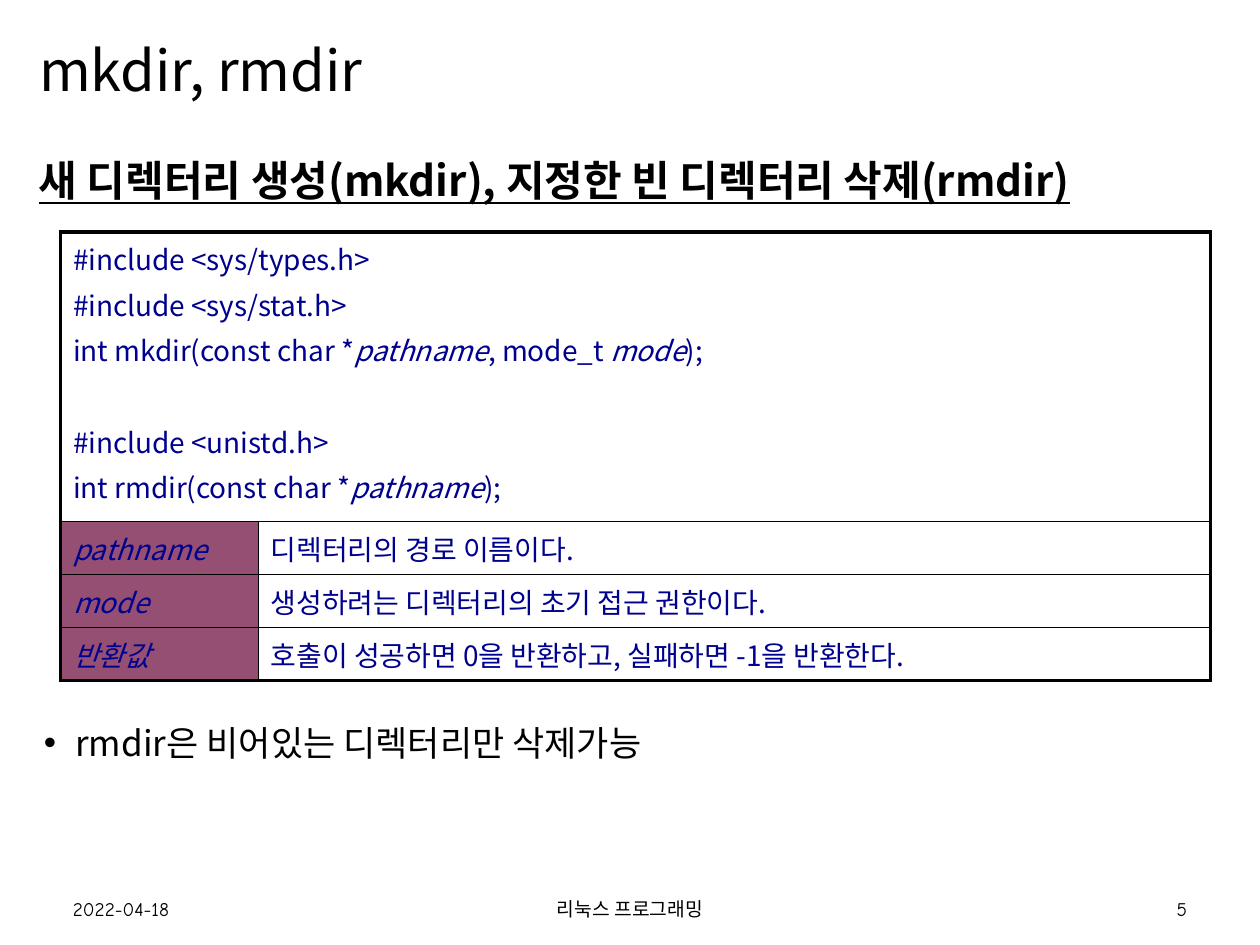
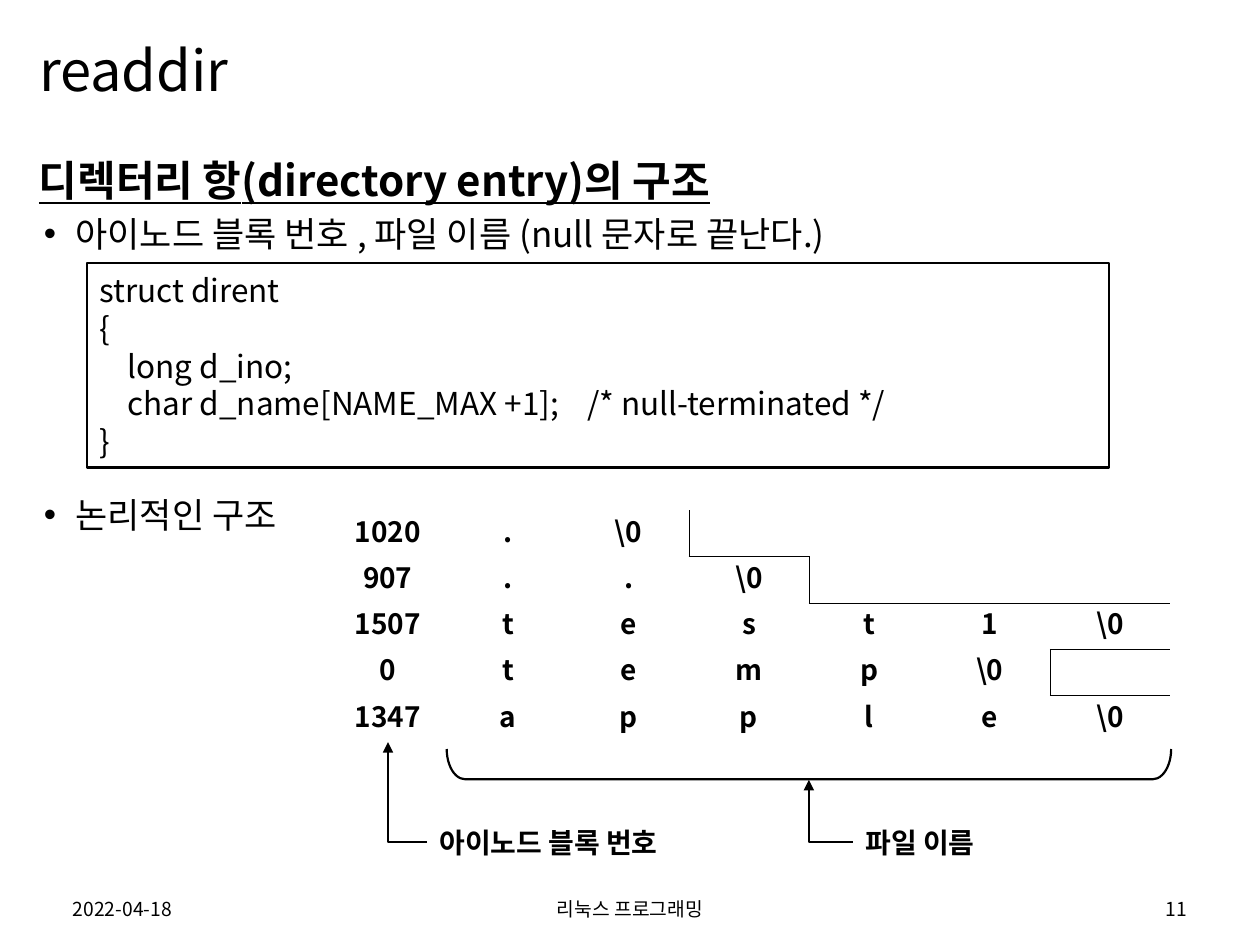
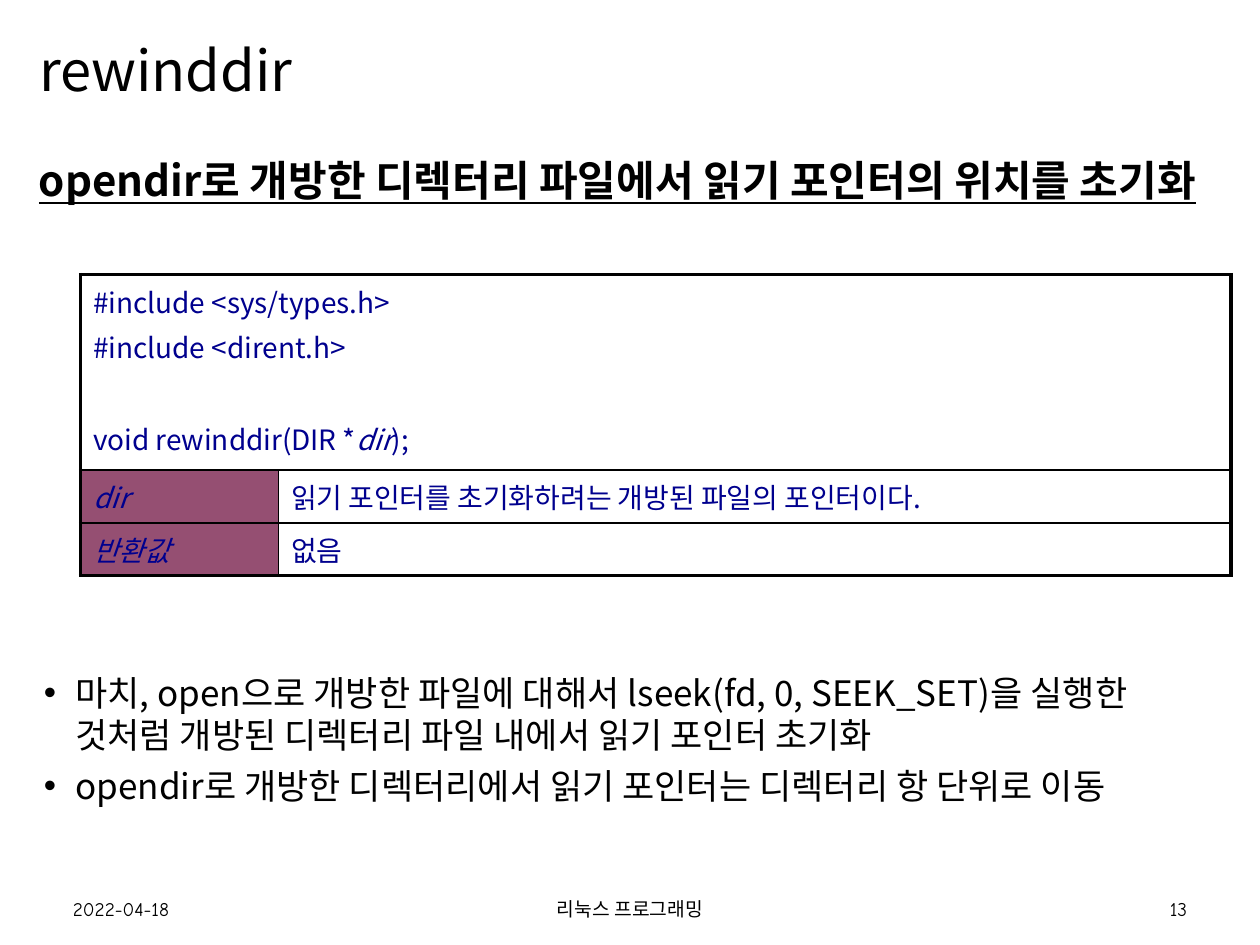
from lxml import etree
from pptx import Presentation
from pptx.dml.color import RGBColor
from pptx.enum.dml import MSO_LINE
from pptx.enum.shapes import MSO_CONNECTOR, MSO_SHAPE
from pptx.enum.text import MSO_ANCHOR, PP_ALIGN
from pptx.oxml.ns import qn
from pptx.util import Inches, Pt

LEFT, CENTER, RIGHT = PP_ALIGN.LEFT, PP_ALIGN.CENTER, PP_ALIGN.RIGHT
TOP, MIDDLE = MSO_ANCHOR.TOP, MSO_ANCHOR.MIDDLE
SOLID = MSO_LINE.SOLID
RECT, BRACKET = MSO_SHAPE.RECTANGLE, MSO_SHAPE.RIGHT_BRACKET
ELBOW = MSO_CONNECTOR.ELBOW

SANS, COMIC = "Noto Sans CJK KR", "Comic Neue"
BLACK, NAVY, PLUM = "000000", "00008E", "954F72"
PITCH = 1.2          # line height as a multiple of the text size
THICK, THIN, HAIR = 2.25, 1, 0.25
BODY = (0.21, 1.18, 9.58)


def rgb(code):
    return RGBColor.from_string(code)


def child(parent, tag, **attrs):
    return etree.SubElement(parent, qn(tag), **attrs)


# ---- Text ----

def add_run(para, text, size, color=BLACK, font=SANS, bold=False,
            italic=False, under=False):
    run = para.add_run()
    run.text = text
    face = run.font
    face.size, face.name, face.color.rgb = Pt(size), font, rgb(color)
    face.bold, face.italic, face.underline = bold, italic, under
    child(face._element, "a:ea", typeface=SANS)


def fill_text(frame, lines, size, align=LEFT, anchor=TOP, gap=0, pitch=PITCH,
              **style):
    """Write one paragraph per line; parts between bars are italic."""
    frame.vertical_anchor = anchor
    for i, line in enumerate(lines):
        para = frame.add_paragraph() if i else frame.paragraphs[0]
        para.alignment = align
        if pitch:
            para.line_spacing = Pt(round(size * pitch, 1))
        if i and gap:
            para.space_before = Pt(gap)
        for j, part in enumerate(line.split("|")):
            if part:
                add_run(para, part, size, italic=j % 2 == 1, **style)


def add_text(slide, box, lines, size, wrap=True, **style):
    shape = slide.shapes.add_textbox(*map(Inches, box))
    shape.text_frame.word_wrap = wrap
    fill_text(shape.text_frame, lines, size, **style)
    return shape


# ---- Parts shared by all slides ----

def add_page(deck, title, number, font=COMIC):
    slide = deck.slides.add_slide(deck.slide_layouts[5])
    head = slide.shapes.title
    head.left, head.top, head.width, head.height = map(
        Inches, (0.21, 0.1, 9.58, 0.97))
    fill_text(head.text_frame, [title], 32, anchor=MIDDLE, pitch=None)
    head.text_frame.paragraphs[0].line_spacing = 0.9
    footers = ((0.48, 2.25, "2022-04-18", LEFT),
               (3.31, 3.38, "리눅스 프로그래밍", CENTER),
               (7.27, 2.25, str(number), RIGHT))
    for left, width, text, align in footers:
        add_text(slide, (left, 7.07, width, 0.28), [text], 11, align=align,
                 anchor=MIDDLE, font=font)
    return slide


def add_lead(slide, text):
    left, top, width = BODY
    add_text(slide, (left, top, width, 0.5), [text], 24, bold=True, under=True)


def add_list(slide, top, items):
    left, _, width = BODY
    shape = add_text(slide, (left, top, width, 0.45 * len(items)), items, 20,
                     gap=5)
    for para in shape.text_frame.paragraphs:
        props = para._p.get_or_add_pPr()
        props.set("marL", str(Inches(0.29)))
        props.set("indent", str(Inches(-0.25)))
        child(props, "a:buFont", typeface="Arial")
        child(props, "a:buChar", char="•")


# ---- Tables ----

def set_edges(cell, *widths):
    """Border widths in points: left, right, top, bottom; 0 is none."""
    props = cell._tc.get_or_add_tcPr()
    for i, (side, width) in enumerate(zip("LRTB", widths)):
        line = etree.Element(qn("a:ln" + side), w=str(Pt(width)))
        if width:
            child(child(line, "a:solidFill"), "a:srgbClr", val=BLACK)
        else:
            child(line, "a:noFill")
        props.insert(i, line)


def make_table(slide, box, cols, rows):
    shape = slide.shapes.add_table(len(rows), len(cols), *map(Inches, box))
    table = shape.table
    table.first_row = table.horz_banding = False
    for col, width in zip(table.columns, cols):
        col.width = Inches(width)
    for row, height in zip(table.rows, rows):
        row.height = Inches(height)
    for cell in table.iter_cells():
        cell.fill.background()
    return table


def add_manual(slide, left, top, height, code, breaks, terms):
    """Call syntax on top, then one row per term; breaks open a line's gap."""
    cols, rows = (1.57, 7.56), [height] + [0.42] * len(terms)
    table = make_table(slide, (left, top, sum(cols), sum(rows)), cols, rows)
    style = {"color": NAVY, "pitch": None}
    synopsis = table.cell(0, 0)
    synopsis.merge(table.cell(0, 1))
    fill_text(synopsis.text_frame, code, 16, gap=3, **style)
    for i in breaks:
        synopsis.text_frame.paragraphs[i].space_before = Pt(29.2)
    set_edges(synopsis, THICK, THICK, THICK, THIN)
    set_edges(table.cell(0, 1), THICK, THICK, THICK, THIN)
    for i, (term, note) in enumerate(terms, 1):
        base = THICK if i == len(terms) else THIN
        name, text = table.cell(i, 0), table.cell(i, 1)
        name.fill.solid()
        name.fill.fore_color.rgb = rgb(PLUM)
        fill_text(name.text_frame, [f"|{term}|"], 16, **style)
        fill_text(text.text_frame, [note], 16, **style)
        set_edges(name, THICK, THIN, THIN, base)
        set_edges(text, THIN, THICK, THIN, base)


def add_entries(slide, box):
    """Inode numbers with file names spelled out, one letter per cell."""
    left, top, width, height = box
    entries = (("1020", "."), ("907", ".."), ("1507", "test1"),
               ("0", "temp"), ("1347", "apple"))
    walls = {(0, 3), (1, 4), (3, 6)}                       # left of a cell
    floors = {(0, 3), (1, 4), (1, 5), (1, 6), (2, 6), (3, 6)}  # below a cell
    table = make_table(slide, box, [width / 7] * 7, [height / 5] * 5)
    for i, (inode, name) in enumerate(entries):
        words = [inode, *name, "\\0"]
        for j in range(7):
            cell = table.cell(i, j)
            word = words[j] if j < len(words) else ""
            fill_text(cell.text_frame, [word], 16, align=CENTER,
                      anchor=MIDDLE, bold=True)
            if not word:
                para = cell.text_frame.paragraphs[0]._p
                child(para, "a:endParaRPr", sz="1600")
            set_edges(cell, *(HAIR * on for on in (
                (i, j) in walls, (i, j + 1) in walls,
                (i - 1, j) in floors, (i, j) in floors)))


# ---- Drawn parts ----

def add_outline(slide, kind, box):
    shape = slide.shapes.add_shape(kind, *map(Inches, box))
    shape.shadow.inherit = False
    shape.fill.background()
    shape.line.color.rgb, shape.line.width = rgb(BLACK), Pt(1.25)
    return shape


def add_label(slide, left, top, text, tip):
    """Text with an elbow arrow from its left side up to the tip."""
    add_text(slide, (left, top, 2.2, 0.37), [text], 16, wrap=False, bold=True)
    ends = (left, top + 0.18, *tip)
    arrow = slide.shapes.add_connector(ELBOW, *map(Inches, ends))
    arrow.line.color.rgb, arrow.line.width = rgb(BLACK), Pt(1.25)
    arrow.line.dash_style = SOLID
    props = arrow._element.spPr
    props.find(qn("a:prstGeom")).set("prst", "bentConnector2")
    child(props.find(qn("a:ln")), "a:tailEnd", type="triangle")
    child(props, "a:effectLst")


# ---- Slides ----

def show_mkdir(deck):
    slide = add_page(deck, "mkdir, rmdir", 5)
    add_lead(slide, "새 디렉터리 생성(mkdir), 지정한 빈 디렉터리 삭제(rmdir)")
    code = ["#include <sys/types.h>", "#include <sys/stat.h>",
            "int mkdir(const char *|pathname|, mode_t |mode|);",
            "#include <unistd.h>", "int rmdir(const char *|pathname|);"]
    terms = [("pathname", "디렉터리의 경로 이름이다."),
             ("mode", "생성하려는 디렉터리의 초기 접근 권한이다."),
             ("반환값", "호출이 성공하면 0을 반환하고, 실패하면 -1을 반환한다.")]
    add_manual(slide, 0.48, 1.84, 2.3, code, [3], terms)
    add_list(slide, 5.68, ["rmdir은 비어있는 디렉터리만 삭제가능"])


def show_readdir(deck):
    slide = add_page(deck, "readdir", 11, SANS)
    add_lead(slide, "디렉터리 항(directory entry)의 구조")
    add_list(slide, 1.64,
             ["아이노드 블록 번호 , 파일 이름 (null 문자로 끝난다.)"])
    code = ["struct dirent", "{", "    long d_ino;",
            "    char d_name[NAME_MAX +1];    /* null-terminated */", "}"]
    frame = add_outline(slide, RECT, (0.69, 2.09, 8.11, 1.62)).text_frame
    frame.word_wrap = True
    fill_text(frame, code, 18, anchor=MIDDLE)
    add_list(slide, 3.87, ["논리적인 구조"])
    add_entries(slide, (2.6, 4.05, 6.69, 1.83))
    brace = add_outline(slide, BRACKET, (6.3, 3.19, 0.24, 5.75))
    brace.rotation, brace.adjustments[0] = 90, 0.61
    add_label(slide, 3.39, 6.5, "아이노드 블록 번호", (3.08, 5.89))
    add_label(slide, 6.77, 6.5, "파일 이름", (6.42, 6.19))


def show_rewind(deck):
    slide = add_page(deck, "rewinddir", 13)
    add_lead(slide,
             "opendir로 개방한 디렉터리 파일에서 읽기 포인터의 위치를 초기화")
    code = ["#include <sys/types.h>", "#include <dirent.h>",
            "void rewinddir(DIR *|dir|);"]
    terms = [("dir", "읽기 포인터를 초기화하려는 개방된 파일의 포인터이다."),
             ("반환값", "없음")]
    add_manual(slide, 0.64, 2.18, 1.55, code, [2], terms)
    add_list(slide, 5.28, [
        "마치, open으로 개방한 파일에 대해서 lseek(fd, 0, SEEK_SET)을 실행한 "
        "것처럼 개방된 디렉터리 파일 내에서 읽기 포인터 초기화",
        "opendir로 개방한 디렉터리에서 읽기 포인터는 디렉터리 항 단위로 이동"])


def main():
    deck = Presentation()
    deck.slide_width, deck.slide_height = Inches(10), Inches(7.5)
    for show in (show_mkdir, show_readdir, show_rewind):
        show(deck)
    deck.save("out.pptx")


if __name__ == "__main__":
    main()
